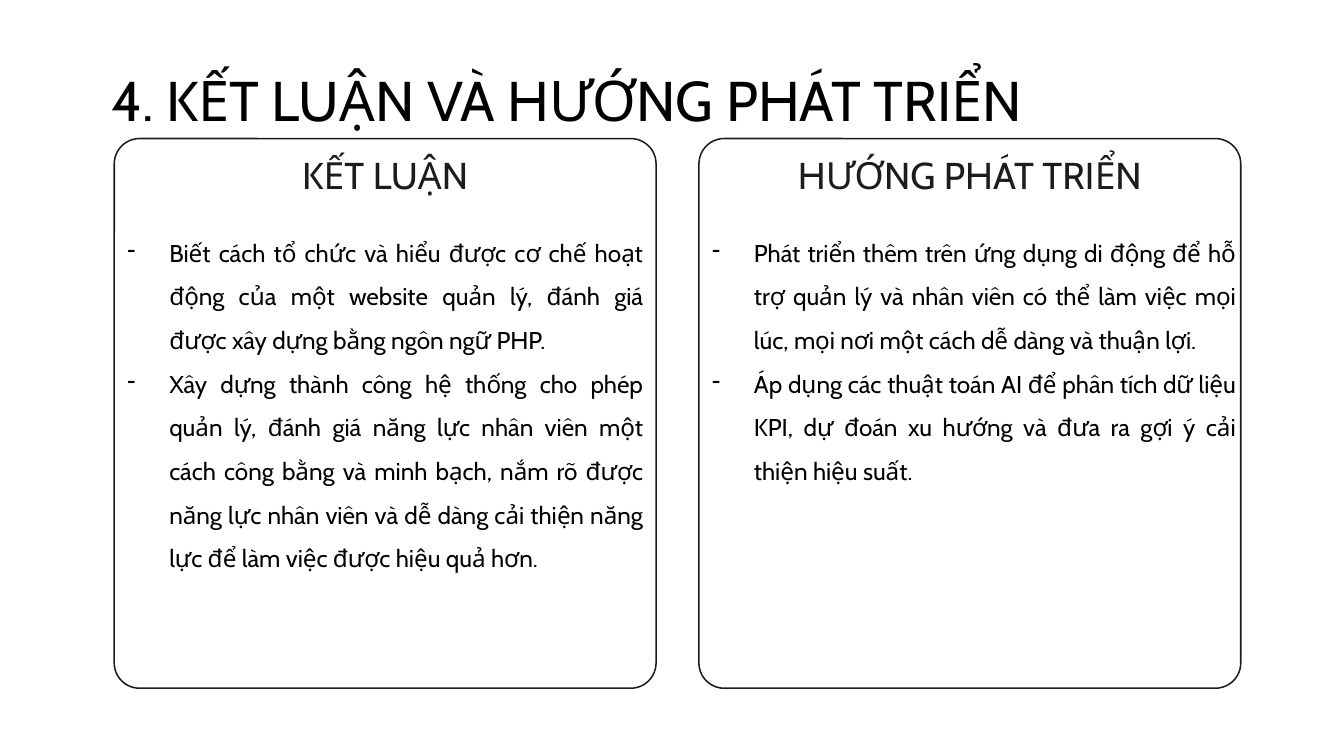
from dataclasses import dataclass

from lxml import etree
from pptx import Presentation
from pptx import util as u
from pptx.dml.color import RGBColor
from pptx.enum import shapes, text
from pptx.oxml import ns


@dataclass(frozen=True)
class Theme:
    font: str = "Cabin"
    black: str = "000000"
    ink: str = "1F1B1A"
    title_size: float = 30
    heading_size: float = 20
    body_size: float = 13
    outline: float = 0.81


@dataclass(frozen=True)
class Panel:
    left: float
    body_width: float
    heading: str
    points: tuple[str, ...]


THEME = Theme()
TOP, WIDTH, HEIGHT = 2.62, 10.24, 10.39
HEADING_HEIGHT = 1.35
CORNER = 0.48
INSET = 0.25
INDENT = 0.79

PANELS = (
    Panel(2.16, 10.24, "KẾT LUẬN", (
        "Biết cách tổ chức và hiểu được cơ chế hoạt động của một website quản lý, "
        "đánh giá được xây dựng bằng ngôn ngữ PHP.",
        "Xây dựng thành công hệ thống cho phép quản lý, đánh giá năng lực nhân viên "
        "một cách công bằng và minh bạch, nắm rõ được năng lực nhân viên và dễ dàng "
        "cải thiện năng lực để làm việc được hiệu quả hơn.",
    )),
    Panel(13.21, 10.39, "HƯỚNG PHÁT TRIỂN", (
        "Phát triển thêm trên ứng dụng di động để hỗ trợ quản lý và nhân viên có thể "
        "làm việc mọi lúc, mọi nơi một cách dễ dàng và thuận lợi.",
        "Áp dụng các thuật toán AI để phân tích dữ liệu KPI, dự đoán xu hướng và đưa "
        "ra gợi ý cải thiện hiệu suất.",
    )),
)


def add_dash(p, color: str) -> None:
    """Give the paragraph a hanging dash bullet."""
    pPr = p._p.get_or_add_pPr()
    pPr.set("marL", str(u.Cm(INDENT)))
    pPr.set("indent", str(-u.Cm(INDENT)))
    clr = etree.SubElement(pPr, ns.qn("a:buClr"))
    etree.SubElement(clr, ns.qn("a:srgbClr"), val=color)
    etree.SubElement(pPr, ns.qn("a:buChar"), char="-")


def write(tf, *lines: str, size: float, color: str = THEME.black,
          align=text.PP_ALIGN.CENTER, anchor=text.MSO_ANCHOR.TOP,
          spacing: float = 1.0, dash: bool = False) -> None:
    """Fill a text frame with one paragraph per line."""
    tf.word_wrap = True
    tf.auto_size = text.MSO_AUTO_SIZE.NONE
    tf.vertical_anchor = anchor
    tf.margin_left = tf.margin_right = tf.margin_top = tf.margin_bottom = u.Cm(INSET)
    for i, line in enumerate(lines):
        p = tf.add_paragraph() if i else tf.paragraphs[0]
        p.alignment = align
        p.line_spacing = spacing
        p.space_before = u.Pt(0)
        if dash:
            add_dash(p, color)
        r = p.add_run()
        r.text = line
        r.font.name = THEME.font
        r.font.size = u.Pt(size)
        r.font.color.rgb = RGBColor.from_string(color)


def add_title(s, line: str) -> None:
    sp = s.shapes.title
    sp.left, sp.top, sp.width, sp.height = u.Cm(0), u.Cm(0.99), u.Cm(21.44), u.Cm(1.6)
    write(sp.text_frame, line, size=THEME.title_size)


def add_panel(s, panel: Panel) -> None:
    left = u.Cm(panel.left)
    sp = s.shapes.add_shape(shapes.MSO_SHAPE.ROUNDED_RECTANGLE,
                            left, u.Cm(TOP), u.Cm(WIDTH), u.Cm(HEIGHT))
    sp.adjustments[0] = CORNER / WIDTH
    sp.shadow.inherit = False
    sp.fill.background()
    sp.line.color.rgb = RGBColor.from_string(THEME.ink)
    sp.line.width = u.Pt(THEME.outline)

    heading = s.shapes.add_textbox(left, u.Cm(TOP), u.Cm(WIDTH), u.Cm(HEADING_HEIGHT))
    write(heading.text_frame, panel.heading, size=THEME.heading_size,
          color=THEME.ink, anchor=text.MSO_ANCHOR.MIDDLE)

    body = s.shapes.add_textbox(left, u.Cm(TOP + HEADING_HEIGHT),
                                u.Cm(panel.body_width), u.Cm(HEIGHT - HEADING_HEIGHT))
    write(body.text_frame, *panel.points, size=THEME.body_size,
          align=text.PP_ALIGN.JUSTIFY, spacing=1.5, dash=True)


def main() -> None:
    prs = Presentation()
    prs.slide_width, prs.slide_height = u.Cm(25.4), u.Cm(14.29)
    s = prs.slides.add_slide(prs.slide_layouts[5])
    add_title(s, "4. KẾT LUẬN VÀ HƯỚNG PHÁT TRIỂN")
    for panel in PANELS:
        add_panel(s, panel)
    prs.save("out.pptx")


if __name__ == "__main__":
    main()
